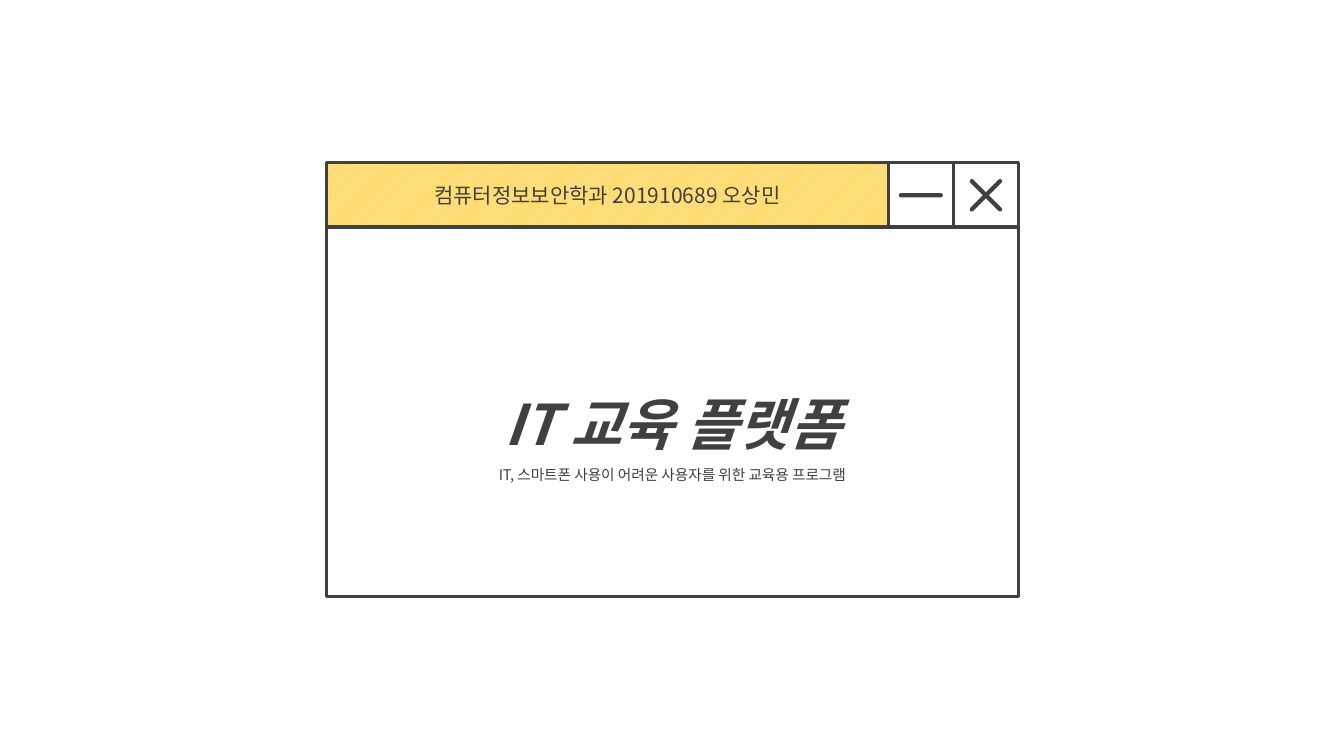
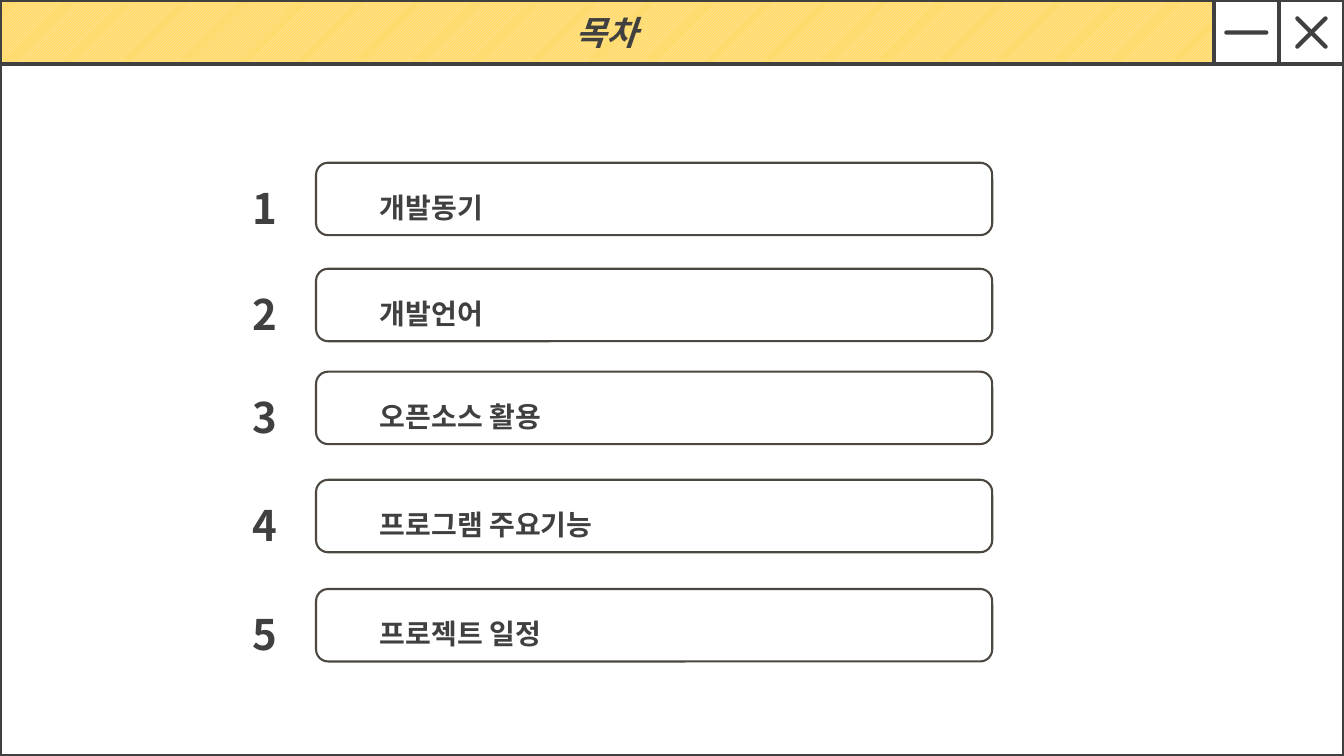
from lxml import etree
from pptx import Presentation
from pptx import util as u
from pptx.dml import color
from pptx.enum import dml, shapes, text
from pptx.oxml import ns

PX = 9525  # EMU in one px, 96 px to the inch
WIDTH, HEIGHT = 1280, 720
BAR_HEIGHT = 61
BUTTON_WIDTH = 62


def px(length):
    return u.Emu(length * PX)


def rgb(value):
    return color.RGBColor.from_string(value)


class WindowDeck:
    """Slides styled as a program window, with the slide being drawn."""

    FONT = "Noto Sans CJK KR"
    INK, BOX_LINE, PAPER = "404040", "4C4741", "FFFFFF"
    STRIPE, BAR = "FFF2CC", "FFD966"

    def __init__(self):
        self.presentation = Presentation()
        self.presentation.slide_width = px(WIDTH)
        self.presentation.slide_height = px(HEIGHT)
        self.slide = None

    def add_slide(self, layout_index):
        layout = self.presentation.slide_layouts[layout_index]
        self.slide = self.presentation.slides.add_slide(layout)

    def placeholder(self, index, left, top, width, height):
        shape = self.slide.placeholders[index]
        shape.left, shape.top = px(left), px(top)
        shape.width, shape.height = px(width), px(height)
        return shape

    def shape(self, left, top, width, height, fill=PAPER, line=INK, weight=2.5,
              kind=shapes.MSO_SHAPE.RECTANGLE, parent=None):
        """Add a preset shape; None as fill or line leaves that part out."""
        owner = parent or self.slide
        shape = owner.shapes.add_shape(kind, px(left), px(top), px(width), px(height))
        shape.shadow.inherit = False
        if fill:
            shape.fill.solid()
            shape.fill.fore_color.rgb = rgb(fill)
        else:
            shape.fill.background()
        self.outline(shape, line, weight)
        return shape

    def outline(self, shape, line, weight):
        if line:
            shape.line.color.rgb = rgb(line)
            shape.line.width = u.Pt(weight)
        else:
            shape.line.fill.background()

    def set_text(self, shape, words, size, bold=False, italic=False, spacing=1.0,
                 align=text.PP_ALIGN.CENTER, anchor=text.MSO_ANCHOR.MIDDLE,
                 level=0, wrap=True):
        frame = shape.text_frame
        frame.text = words
        frame.word_wrap = wrap
        frame.auto_size = text.MSO_AUTO_SIZE.NONE
        frame.vertical_anchor = anchor
        paragraph = frame.paragraphs[0]
        paragraph.level = level
        paragraph.alignment = align
        paragraph.line_spacing = spacing
        paragraph.space_before = u.Pt(0)
        font = paragraph.font
        font.size, font.bold, font.italic = u.Pt(size), bold, italic
        font.color.rgb = rgb(self.INK)
        font.name = self.FONT
        properties = paragraph._p.pPr.find(ns.qn("a:defRPr"))
        etree.SubElement(properties, ns.qn("a:ea"), typeface=self.FONT)

    def headline(self, index, left, top, width, height, words, size, anchor, **style):
        """Fill a placeholder that has no margins above or below its text."""
        shape = self.placeholder(index, left, top, width, height)
        self.set_text(shape, words, size, spacing=1.5, anchor=anchor, **style)
        shape.text_frame.margin_top = shape.text_frame.margin_bottom = 0

    def window(self, left, top, width, height):
        """Draw the frame and buttons; return the box left for the title bar."""
        self.shape(left, top + BAR_HEIGHT, width, height - BAR_HEIGHT, fill=None)
        close_left = left + width - BUTTON_WIDTH
        minimize_left = close_left - BUTTON_WIDTH
        self.button(minimize_left, top, [0])
        self.button(close_left, top, [315, 45])
        return left, top, minimize_left - left, BAR_HEIGHT

    def button(self, left, top, angles):
        group = self.slide.shapes.add_group_shape()
        self.shape(left, top, BUTTON_WIDTH, BAR_HEIGHT, parent=group)
        for angle in angles:
            stroke = self.shape(left + 10, top + 29, 42, 4, fill=self.INK, line=None,
                                kind=shapes.MSO_SHAPE.ROUNDED_RECTANGLE, parent=group)
            stroke.adjustments[0] = 0.5
            stroke.rotation = angle

    def title_bar(self, bar, words, size, **style):
        bar.fill.patterned()
        bar.fill.pattern = dml.MSO_PATTERN.LIGHT_UPWARD_DIAGONAL
        bar.fill.fore_color.rgb = rgb(self.STRIPE)
        bar.fill.back_color.rgb = rgb(self.BAR)
        self.outline(bar, self.INK, 2.5)
        self.set_text(bar, words, size, **style)

    def agenda_item(self, number, top, words):
        box = self.shape(301, top, 644, 69, line=self.BOX_LINE, weight=1.5,
                         kind=shapes.MSO_SHAPE.ROUNDED_RECTANGLE)
        self.set_text(box, words, 20, bold=True, spacing=1.5,
                      align=text.PP_ALIGN.LEFT, level=1)
        label = self.slide.shapes.add_textbox(px(231), px(top - 10), px(43), px(73))
        self.set_text(label, str(number), 30, bold=True, spacing=1.5,
                      anchor=text.MSO_ANCHOR.TOP, wrap=False)


def cover(deck):
    deck.add_slide(0)
    left, top, width, height = 311, 155, 659, 413
    bar = deck.shape(*deck.window(left, top, width, height))
    deck.title_bar(bar, "컴퓨터정보보안학과 201910689 오상민", 15)
    deck.headline(0, left, 319, width, 116, "IT 교육 플랫폼", 40,
                  text.MSO_ANCHOR.BOTTOM, bold=True, italic=True)
    deck.headline(1, left, 435, width, 30,
                  "IT, 스마트폰 사용이 어려운 사용자를 위한 교육용 프로그램", 10.5,
                  text.MSO_ANCHOR.TOP)


def agenda(deck):
    deck.add_slide(5)
    bar = deck.placeholder(0, *deck.window(0, 0, WIDTH, HEIGHT))
    deck.title_bar(bar, "목차", 24, bold=True, italic=True)
    items = [
        (155, "개발동기"),
        (256, "개발언어"),
        (354, "오픈소스 활용"),
        (457, "프로그램 주요기능"),
        (561, "프로젝트 일정"),
    ]
    for number, (top, words) in enumerate(items, 1):
        deck.agenda_item(number, top, words)


def main():
    deck = WindowDeck()
    cover(deck)
    agenda(deck)
    deck.presentation.save("out.pptx")


if __name__ == "__main__":
    main()
